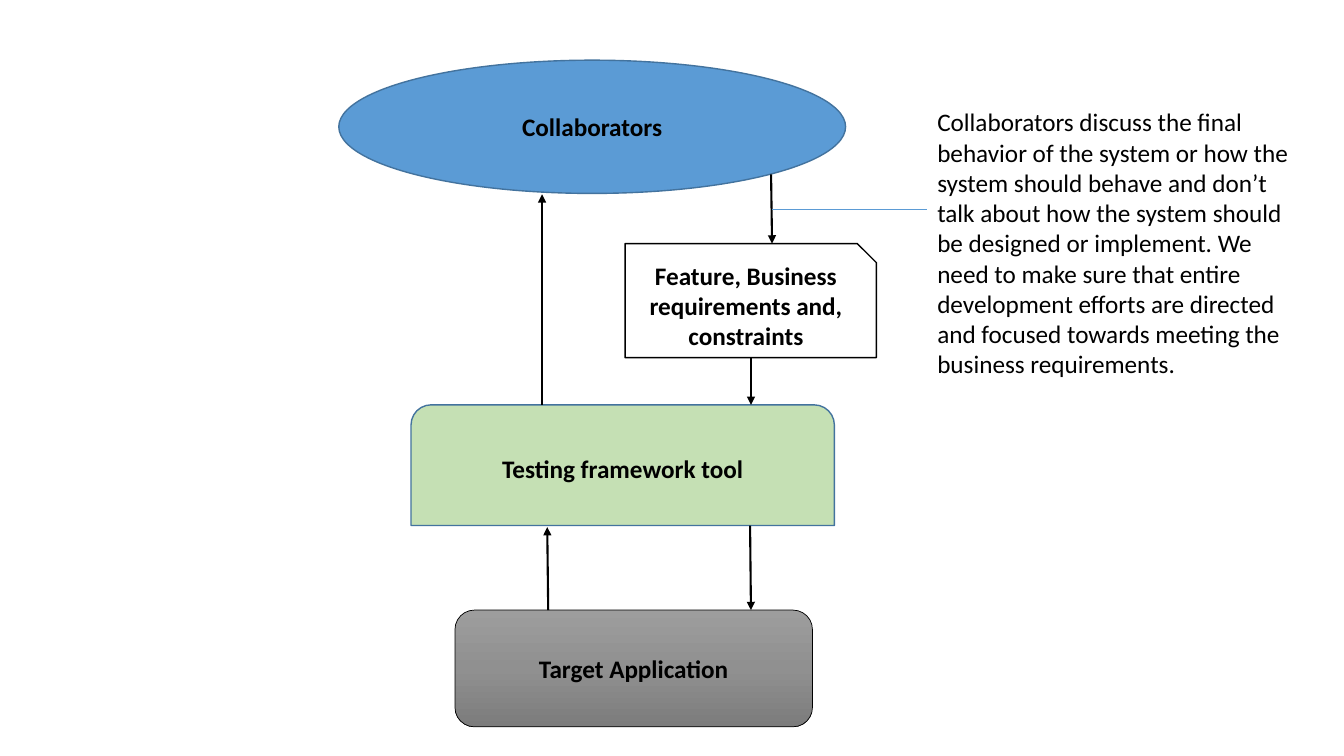
"""Build the slide showing how collaborators, testing tool and target application interact."""
from copy import deepcopy
from dataclasses import dataclass

from pptx import Presentation
from pptx import util as u
from pptx.dml.color import RGBColor
from pptx.enum import shapes, text
from pptx.oxml import ns, xmlchemy

FONT = "Calibri"
BLACK = "000000"
BLUE_EDGE = "43739E"


@dataclass
class Box:
    """A labelled stage of the process, measured in points."""
    label: str
    kind: shapes.MSO_SHAPE
    left: float
    top: float
    width: float
    height: float
    fills: tuple
    edge: str = BLACK
    weight: float = 1


@dataclass
class Link:
    """A straight line between two points, measured in points."""
    start: tuple
    end: tuple
    color: str = BLACK
    weight: float = 1.5
    arrow: bool = True


SHAPE = shapes.MSO_SHAPE
BOXES = [
    Box("Collaborators", SHAPE.OVAL, 242, 43, 362, 95.2, ("5B9BD5",), BLUE_EDGE),
    Box("Feature, Business requirements and, constraints", SHAPE.SNIP_1_RECTANGLE,
        446.5, 174, 179.5, 81.5, ("FFFFFF",)),
    Box("Testing framework tool", SHAPE.ROUND_2_SAME_RECTANGLE,
        293.6, 289.2, 302.4, 86.2, ("C5E0B4",), BLUE_EDGE),
    Box("Target Application", SHAPE.ROUNDED_RECTANGLE,
        325, 435.8, 255.4, 83.4, ("9D9D9D", "909090", "7C7C7C"), weight=0.5),
]
LINKS = [
    Link((550.8, 124.6), (551.5, 174)),
    Link((536.4, 255.5), (536.4, 289.2)),
    Link((535.8, 375.4), (536.4, 435.8)),
    Link((391.6, 435.8), (390.9, 376.5)),
    Link((387.2, 289.2), (387.2, 138.8)),
    Link((551.5, 149.2), (662.4, 149.2), "5B9BD5", 0.5, False),
]
NOTE = (
    "Collaborators discuss the final behavior of the system or how the system should "
    "behave and don\u2019t talk about how the system should be designed or implement. "
    "We need to make sure that entire development efforts are directed and focused "
    "towards meeting the business requirements."
)


def rgb(value: str) -> RGBColor:
    """Turn a hex string into a colour."""
    return RGBColor.from_string(value)


def write(frame, content: str, bold: bool = False) -> None:
    """Set the text of a frame and format its run."""
    frame.word_wrap = True
    frame.text = content
    font = frame.paragraphs[0].runs[0].font
    font.name, font.size, font.bold = FONT, u.Pt(18), bold
    font.color.rgb = rgb(BLACK)


def paint(shape, colors: tuple) -> None:
    """Fill a shape with one colour or an evenly spaced vertical gradient."""
    if len(colors) == 1:
        shape.fill.solid()
        shape.fill.fore_color.rgb = rgb(colors[0])
        return
    shape.fill.gradient()
    shape.fill.gradient_angle = 270
    stop_list = shape.element.spPr.find(".//" + ns.qn("a:gsLst"))
    while len(stop_list) < len(colors):
        stop_list.append(deepcopy(stop_list[-1]))
    for index, stop in enumerate(shape.fill.gradient_stops):
        stop.position = index / (len(colors) - 1)
        stop.color.rgb = rgb(colors[index])


def draw_box(slide, box: Box) -> None:
    """Draw one labelled stage."""
    frame = map(u.Pt, (box.left, box.top, box.width, box.height))
    shape = slide.shapes.add_shape(box.kind, *frame)
    shape.shadow.inherit = False
    paint(shape, box.fills)
    shape.line.color.rgb = rgb(box.edge)
    shape.line.width = u.Pt(box.weight)
    write(shape.text_frame, box.label, bold=True)
    shape.text_frame.vertical_anchor = text.MSO_ANCHOR.MIDDLE
    shape.text_frame.paragraphs[0].alignment = text.PP_ALIGN.CENTER


def draw_link(slide, link: Link) -> None:
    """Draw one line, with an arrowhead at its end where wanted."""
    connector = slide.shapes.add_connector(
        shapes.MSO_CONNECTOR.STRAIGHT, *map(u.Pt, link.start + link.end))
    connector.line.color.rgb = rgb(link.color)
    connector.line.width = u.Pt(link.weight)
    if link.arrow:
        head = xmlchemy.OxmlElement("a:tailEnd")
        head.set("type", "triangle")
        connector.line._get_or_add_ln().append(head)
    connector.element.spPr.append(xmlchemy.OxmlElement("a:effectLst"))


def draw_note(slide) -> None:
    """Write the explanation beside the diagram."""
    box = slide.shapes.add_textbox(*map(u.Pt, (662.4, 72.7, 272.9, 203.8)))
    write(box.text_frame, NOTE)
    box.text_frame.auto_size = text.MSO_AUTO_SIZE.SHAPE_TO_FIT_TEXT


def main() -> None:
    """Build and save the presentation."""
    presentation = Presentation()
    presentation.slide_width, presentation.slide_height = u.Pt(960), u.Pt(540)
    slide = presentation.slides.add_slide(presentation.slide_layouts[6])
    for box in BOXES:
        draw_box(slide, box)
    for link in LINKS:
        draw_link(slide, link)
    draw_note(slide)
    presentation.save("out.pptx")


main()
